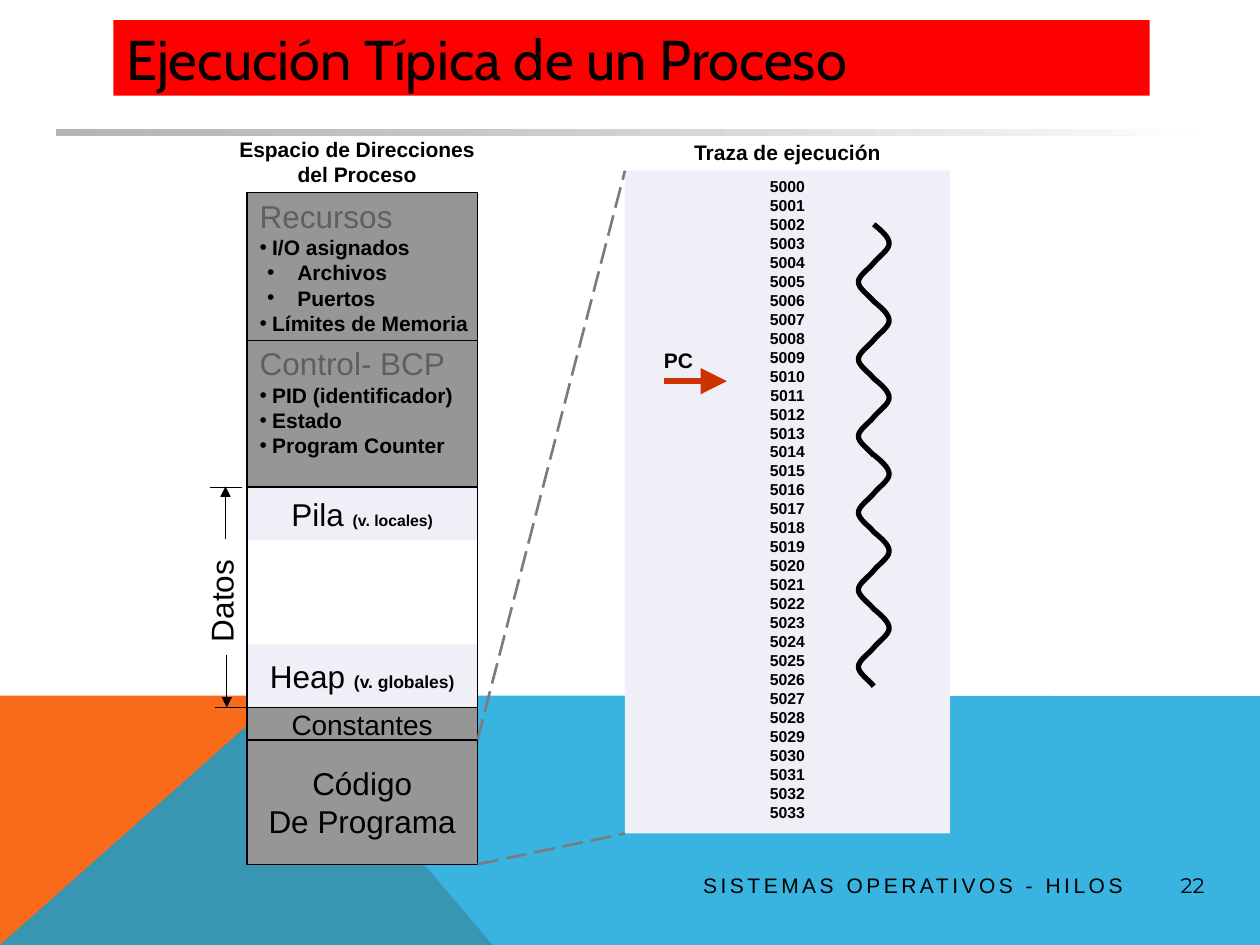
import dataclasses
import typing

import lxml.etree
import pptx
import pptx.dml.color
import pptx.enum.dml
import pptx.enum.shapes
import pptx.enum.text
import pptx.oxml.ns
import pptx.util

SHAPE = pptx.enum.shapes.MSO_SHAPE
ALIGN = pptx.enum.text.PP_ALIGN
ANCHOR = pptx.enum.text.MSO_ANCHOR
WIDTH, HEIGHT = pptx.util.Inches(10), pptx.util.Inches(7.5)
COLS, ROWS = 100, 75


@dataclasses.dataclass(frozen=True)
class Theme:
    font: str = "Arial"
    title_font: str = "Cabin"
    number_font: str = "Montserrat"
    black: str = "000000"
    red: str = "FF0000"
    orange: str = "F96A1B"
    blue: str = "08A1D9"
    grey: str = "969696"
    white: str = "FFFFFF"
    pale: str = "EFEFF7"
    heading: str = "5F5F5F"
    dash: str = "797B7E"
    arrow: str = "CC3300"
    title: float = 32
    large: float = 18
    medium: float = 16
    body: float = 12
    note: float = 10
    small: float = 9
    thin: float = 0.75
    zoom: float = 1.5
    thick: float = 3


T = Theme()


class Area(typing.NamedTuple):
    col: float
    row: float
    cols: float
    rows: float


@dataclasses.dataclass(frozen=True)
class Block:
    row: float
    rows: float
    text: str
    size: float
    fill: str = T.grey
    line: typing.Optional[str] = T.black
    note: str = ""
    note_size: float = T.small


@dataclasses.dataclass(frozen=True)
class Panel:
    row: float
    heading: str
    items: tuple[tuple[int, str], ...]


@dataclasses.dataclass(frozen=True)
class Link:
    start: tuple[float, float]
    end: tuple[float, float]
    color: str = T.black
    width: float = T.thin
    head: str = ""
    dashed: bool = False


STACK_COL, STACK_COLS = 19.6, 18.3
STACK_RIGHT = STACK_COL + STACK_COLS
TRACE = Area(49.6, 13.55, 25.8, 52.6)

PANELS = [
    Panel(15.3, "Recursos", ((0, "I/O asignados"), (1, "Archivos"), (1, "Puertos"), (0, "Límites de Memoria"))),
    Panel(27, "Control- BCP", ((0, "PID (identificador)"), (0, "Estado"), (0, "Program Counter"))),
]
BLOCKS = [
    Block(58.7, 9.9, "Código\nDe Programa", T.large),
    Block(38.65, 4.2, "Pila ", T.large, T.pale, None, "(v. locales)"),
    Block(51.15, 5, "Heap ", T.large, T.pale, None, "(v. globales)", T.note),
    Block(56.15, 2.6, "Constantes", T.medium),
]
LINKS = [
    Link((STACK_RIGHT, 58.7), (TRACE.col, TRACE.row), T.dash, T.zoom, dashed=True),
    Link((STACK_RIGHT, 68.6), (TRACE.col, TRACE.row + TRACE.rows), T.dash, T.zoom, dashed=True),
    Link((17.9, 42.8), (17.9, 38.6), head="med"),
    Link((18, 52), (18, 56.15), head="med"),
    Link((19.6, 56.15), (17.1, 56.15)),
    Link((19.2, 38.7), (16.7, 38.7)),
]


def x(col: float) -> int:
    return round(WIDTH * col / COLS)


def y(row: float) -> int:
    return round(HEIGHT * row / ROWS)


def box(a: Area) -> tuple[int, int, int, int]:
    return x(a.col), y(a.row), x(a.cols), y(a.rows)


def rgb(color: str):
    return pptx.dml.color.RGBColor.from_string(color)


def qn(tag: str) -> str:
    return pptx.oxml.ns.qn(tag)


def add_xml(parent, tag: str, **attrs: str):
    return lxml.etree.SubElement(parent, qn(tag), attrs)


def paint(sp, fill: typing.Optional[str] = None, line: typing.Optional[str] = None, width: float = T.thin) -> None:
    if fill:
        sp.fill.solid()
        sp.fill.fore_color.rgb = rgb(fill)
    else:
        sp.fill.background()
    if line:
        sp.line.color.rgb = rgb(line)
        sp.line.width = pptx.util.Pt(width)
    else:
        sp.line.fill.background()


def fade(sp, color: str, percent: int) -> None:
    for clr in sp._element.spPr.iter(qn("a:srgbClr")):
        if clr.get("val") == color:
            add_xml(clr, "a:alpha", val=str(percent * 1000))


def style(r, size: float, bold: bool = False, color: str = T.black, font: str = T.font) -> None:
    r.font.name, r.font.size, r.font.bold = font, pptx.util.Pt(size), bold
    r.font.color.rgb = rgb(color)


def write(sp, text: str, size: float, bold: bool = False, align=ALIGN.CENTER,
          anchor=ANCHOR.MIDDLE, wrap: bool = True, font: str = T.font):
    tf = sp.text_frame
    tf.text = text
    tf.word_wrap, tf.vertical_anchor = wrap, anchor
    tf.auto_size = pptx.enum.text.MSO_AUTO_SIZE.NONE
    for p in tf.paragraphs:
        p.alignment = align
        for r in p.runs:
            style(r, size, bold, font=font)
    return tf


def add_shape(s, a: Area, fill=None, line=None, kind=SHAPE.RECTANGLE):
    sp = s.shapes.add_shape(kind, *box(a))
    sp.shadow.inherit = False
    paint(sp, fill, line)
    return sp


def add_label(s, a: Area, text: str, size: float = T.body, bold: bool = True, align=ALIGN.CENTER):
    sp = s.shapes.add_textbox(*box(a))
    write(sp, text, size, bold, align)
    return sp


def add_outline(s, points: list[tuple[float, float]], closed: bool, fill=None, line=None, width: float = T.thin):
    dots = [(x(c), y(r)) for c, r in points]
    fb = s.shapes.build_freeform(*dots[0])
    fb.add_line_segments(dots[1:], close=closed)
    sp = fb.convert_to_shape()
    sp.shadow.inherit = False
    paint(sp, fill, line, width)
    return sp


def add_wave(s, row: float, cycles: int = 3, center: float = 69.35, swing: float = 1.22, step: float = 0.51) -> None:
    cycle = (0.5, 1, 1, 1, 0.33, 0, -0.33, -1, -1, -1, -0.33, 0)
    shifts = (0, *cycle * cycles)
    points = [(center + swing * shift, row + step * i) for i, shift in enumerate(shifts)]
    sp = add_outline(s, points, False, line=T.black, width=T.thick)
    segments = list(sp._element.spPr.iter(qn("a:lnTo")))
    for i in range(0, len(segments), 3):
        curve = add_xml(segments[i].getparent(), "a:cubicBezTo")
        for segment in segments[i:i + 3]:
            curve.append(segment[0])
            segment.getparent().remove(segment)


def add_link(s, k: Link):
    c = s.shapes.add_connector(pptx.enum.shapes.MSO_CONNECTOR.STRAIGHT,
                               x(k.start[0]), y(k.start[1]), x(k.end[0]), y(k.end[1]))
    c.line.color.rgb = rgb(k.color)
    c.line.width = pptx.util.Pt(k.width)
    if k.dashed:
        c.line.dash_style = pptx.enum.dml.MSO_LINE.LONG_DASH
    if k.head:
        add_xml(c._element.spPr.find(qn("a:ln")), "a:tailEnd", type="triangle", w=k.head, len=k.head)
    add_xml(c._element.spPr, "a:effectLst")
    return c


def add_block(s, b: Block) -> None:
    sp = add_shape(s, Area(STACK_COL, b.row, STACK_COLS, b.rows), b.fill, b.line)
    tf = write(sp, b.text, b.size, wrap=False)
    if b.note:
        r = tf.paragraphs[0].add_run()
        r.text = b.note
        style(r, b.note_size, True)


def fill_panel(sp, panel: Panel) -> None:
    sp.left, sp.top, sp.width, sp.height = box(Area(STACK_COL, panel.row, STACK_COLS, 11.7))
    paint(sp, T.grey, T.black)
    tf = write(sp, "\n".join([panel.heading, *(text for _, text in panel.items)]),
               T.body, True, ALIGN.LEFT, ANCHOR.TOP)
    tf.margin_right, tf.margin_top = 0, y(0.33)
    for i, (p, level) in enumerate(zip(tf.paragraphs, [0, *(n for n, _ in panel.items)])):
        p.level = level
        p.space_before = pptx.util.Pt(0)
        margin, hang = (x(3), x(2.4)) if level else (x(1), x(1))
        pPr = p._p.get_or_add_pPr()
        pPr.set("marL", str(margin))
        pPr.set("indent", str(-hang))
        if i:
            add_xml(pPr, "a:buFont", typeface=T.font)
            add_xml(pPr, "a:buChar", char="•")
        else:
            add_xml(pPr, "a:buNone")
            style(p.runs[0], T.large, False, T.heading)


def add_backdrop(s) -> None:
    peak, base = (22.3, 55.2), (0, ROWS)
    add_outline(s, [base, (0, 55.2), peak, (39.1, ROWS)], True, T.orange)
    sea = add_outline(s, [base, peak, (COLS, 55.25), (COLS, ROWS)], True, T.blue)
    fade(sea, T.blue, 80)
    rule = add_shape(s, Area(4.5, 10.27, 90.5, 0.5))
    rule.fill.gradient()
    rule.fill.gradient_angle = 0
    for stop, color in zip(rule.fill.gradient_stops, (T.grey, T.white)):
        stop.color.rgb = rgb(color)
    fade(rule, T.grey, 70)


def main() -> None:
    prs = pptx.Presentation()
    prs.slide_width, prs.slide_height = WIDTH, HEIGHT
    s = prs.slides.add_slide(prs.slide_layouts[3])
    title, *bodies = s.placeholders
    title.left, title.top, title.width, title.height = box(Area(9, 1.6, 82.25, 6))
    paint(title, T.red)
    write(title, "Ejecución Típica de un Proceso", T.title, align=ALIGN.LEFT, font=T.title_font)
    for sp, panel in zip(bodies, PANELS):
        fill_panel(sp, panel)

    add_backdrop(s)
    write(add_shape(s, TRACE, T.pale), "\n".join(str(n) for n in range(5000, 5034)),
          T.small, True, anchor=ANCHOR.TOP, wrap=False)
    add_label(s, Area(TRACE.col, 10.6, TRACE.cols, 3), "Traza de ejecución")
    add_label(s, Area(17.1, 10.3, 22.5, 5), "Espacio de Direcciones\ndel Proceso")
    footer = add_label(s, Area(38.45, 68.75, 51.7, 3), "SISTEMAS OPERATIVOS - HILOS", bold=False, align=ALIGN.RIGHT)
    footer.text_frame.paragraphs[0].runs[0]._r.get_or_add_rPr().set("spc", "200")
    number = add_shape(s, Area(91.9, 67.5, 5.5, 5.5), kind=SHAPE.OVAL)
    write(number, "22", T.body, wrap=False, font=T.number_font)

    for block in BLOCKS:
        add_block(s, block)
    add_shape(s, Area(STACK_COL, 38.65, STACK_COLS, 17.5), line=T.black)
    add_label(s, Area(11.7, 44.1, 11.7, 4), "Datos", T.large, False, ALIGN.LEFT).rotation = 270
    for link in LINKS:
        add_link(s, link)
    for row in (17.8, 36.1):
        add_wave(s, row)
    arrow = add_link(s, Link((52.7, 30.25), (57.7, 30.25), T.arrow, T.thick, "lg"))
    pc = add_label(s, Area(52.7, 27.6, 3, 2), "PC", align=ALIGN.LEFT)
    tf = pc.text_frame
    tf.margin_left = tf.margin_right = tf.margin_top = tf.margin_bottom = 0
    s.shapes.add_group_shape([arrow, pc])
    prs.save("out.pptx")


if __name__ == "__main__":
    main()
